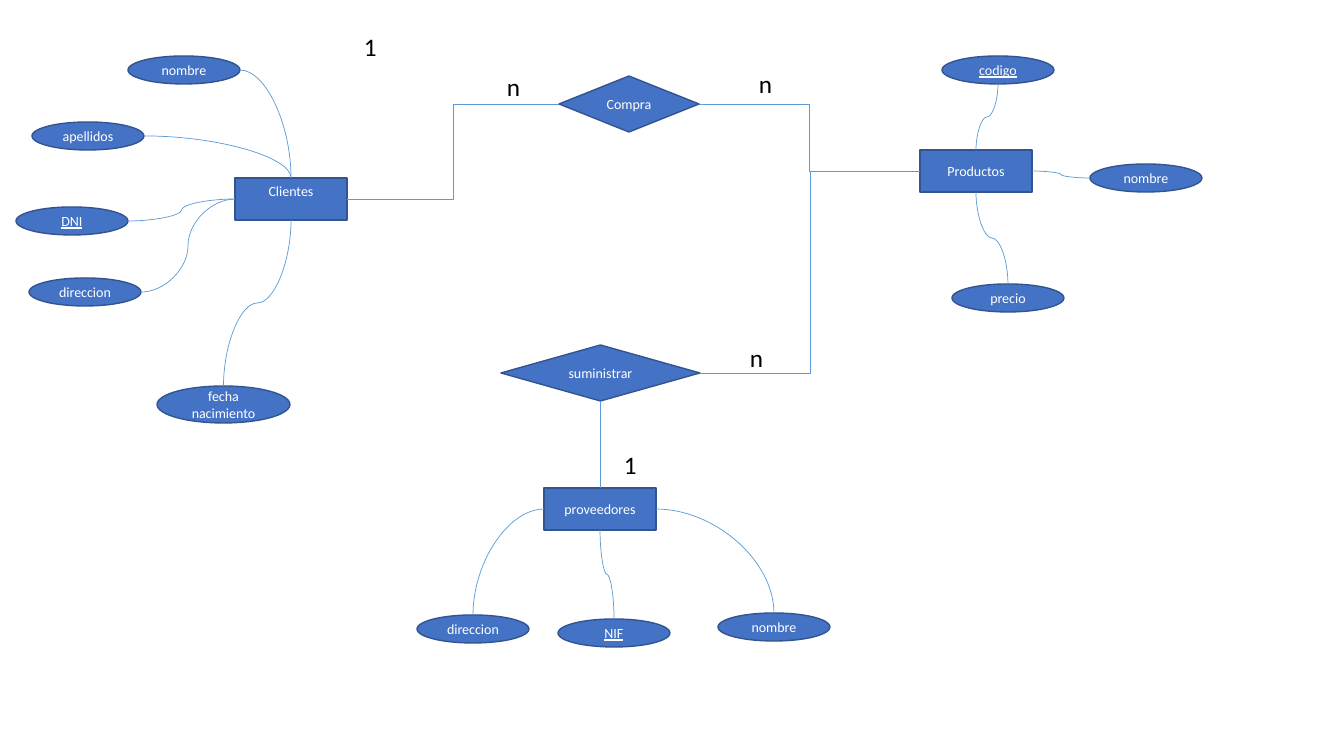
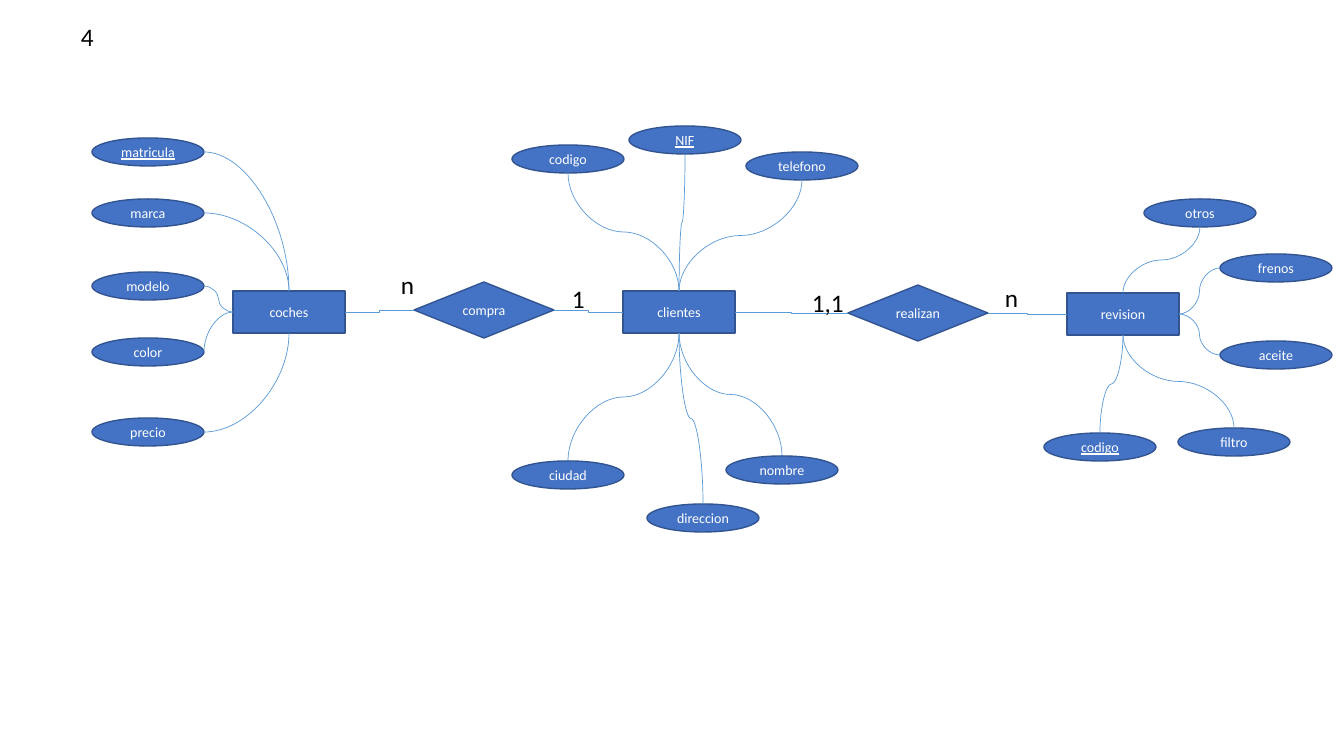
from lxml import etree
from pptx import Presentation
from pptx.dml.color import RGBColor
from pptx.enum.shapes import MSO_CONNECTOR, MSO_SHAPE
from pptx.enum.text import MSO_ANCHOR, PP_ALIGN
from pptx.oxml.ns import qn
from pptx.util import Pt

ENTITY = MSO_SHAPE.RECTANGLE
ATTRIBUTE = MSO_SHAPE.OVAL
RELATION = MSO_SHAPE.DIAMOND
CURVE = MSO_CONNECTOR.CURVE
TOP, LEFT, BOTTOM, RIGHT = range(4)
ANGLES = {TOP: 270, LEFT: 180, BOTTOM: 90, RIGHT: 0}
CURVE2, CURVE3, BENT3 = "curvedConnector2", "curvedConnector3", "bentConnector3"

COLOURS = {
    "fill": "4472C4",
    "outline": "325491",
    "link": "5B9BD5",
    "node_text": "FFFFFF",
    "label_text": "000000",
}
NODE_FONT = {"name": "Calibri", "size": Pt(10)}
LABEL_FONT = {"name": "Calibri", "size": Pt(18)}
SIZES = {ENTITY: (112, 42), ATTRIBUTE: (112, 28), RELATION: (140, 56)}
SPECIAL_SIZES = {"fecha nacimiento": (133, 37), "suministrar": (199, 56)}
KEYS = {"DNI", "NIF", "codigo producto", "matricula", "codigo revision"}
TOP_ANCHORED = {"Clientes"}
LABEL_HEIGHT = 40

DIAGRAMS = [
    {
        "nodes": [
            ("Clientes", "Clientes", ENTITY, 235, 178),
            ("Productos", "Productos", ENTITY, 920, 150),
            ("proveedores", "proveedores", ENTITY, 544, 488),
            ("nombre cliente", "nombre", ATTRIBUTE, 128, 56),
            ("apellidos", "apellidos", ATTRIBUTE, 32, 122),
            ("DNI", "DNI", ATTRIBUTE, 16, 207),
            ("direccion cliente", "direccion", ATTRIBUTE, 29, 278),
            ("fecha nacimiento", "fecha nacimiento", ATTRIBUTE, 157, 386),
            ("codigo producto", "codigo", ATTRIBUTE, 942, 56),
            ("precio", "precio", ATTRIBUTE, 952, 284),
            ("nombre producto", "nombre", ATTRIBUTE, 1090, 164),
            ("NIF", "NIF", ATTRIBUTE, 558, 619),
            ("nombre proveedor", "nombre", ATTRIBUTE, 718, 613),
            ("direccion proveedor", "direccion", ATTRIBUTE, 417, 615),
            ("Compra", "Compra", RELATION, 559, 76),
            ("suministrar", "suministrar", RELATION, 501, 345),
        ],
        "links": [
            ("nombre cliente", RIGHT, "Clientes", TOP, CURVE2),
            ("Clientes", TOP, "apellidos", RIGHT, CURVE2),
            ("Clientes", LEFT, "DNI", RIGHT, CURVE3),
            ("Clientes", LEFT, "direccion cliente", RIGHT, CURVE3),
            ("Clientes", BOTTOM, "fecha nacimiento", TOP, CURVE3),
            ("proveedores", BOTTOM, "NIF", TOP, CURVE3),
            ("proveedores", LEFT, "direccion proveedor", TOP, CURVE2),
            ("proveedores", RIGHT, "nombre proveedor", TOP, CURVE2),
            ("codigo producto", BOTTOM, "Productos", TOP, CURVE3),
            ("nombre producto", LEFT, "Productos", RIGHT, CURVE3),
            ("Productos", BOTTOM, "precio", TOP, CURVE3),
            ("Productos", LEFT, "suministrar", RIGHT, BENT3),
            ("Productos", LEFT, "Compra", RIGHT, BENT3),
            ("Compra", LEFT, "Clientes", RIGHT, BENT3),
            ("suministrar", BOTTOM, "proveedores", TOP, BENT3),
        ],
        "labels": [
            ("n", 497, 66, 21),
            ("n", 749, 63, 26),
            ("1", 614, 444, 54),
            ("n", 740, 337, 32),
            ("1", 354, 26, 83),
        ],
    },
    {
        "nodes": [
            ("coches", "coches", ENTITY, 233, 291),
            ("clientes", "clientes", ENTITY, 623, 291),
            ("revision", "revision", ENTITY, 1067, 293),
            ("matricula", "matricula", ATTRIBUTE, 92, 138),
            ("marca", "marca", ATTRIBUTE, 92, 199),
            ("modelo", "modelo", ATTRIBUTE, 92, 272),
            ("color", "color", ATTRIBUTE, 92, 338),
            ("precio", "precio", ATTRIBUTE, 92, 418),
            ("compra", "compra", RELATION, 414, 282),
            ("realizan", "realizan", RELATION, 848, 285),
            ("filtro", "filtro", ATTRIBUTE, 1178, 428),
            ("aceite", "aceite", ATTRIBUTE, 1220, 341),
            ("frenos", "frenos", ATTRIBUTE, 1220, 254),
            ("otros", "otros", ATTRIBUTE, 1144, 199),
            ("NIF", "NIF", ATTRIBUTE, 629, 126),
            ("nombre", "nombre", ATTRIBUTE, 726, 456),
            ("direccion", "direccion", ATTRIBUTE, 647, 504),
            ("ciudad", "ciudad", ATTRIBUTE, 512, 461),
            ("telefono", "telefono", ATTRIBUTE, 746, 152),
            ("codigo cliente", "codigo", ATTRIBUTE, 512, 145),
            ("codigo revision", "codigo", ATTRIBUTE, 1044, 433),
        ],
        "links": [
            ("clientes", LEFT, "compra", RIGHT, BENT3),
            ("compra", LEFT, "coches", RIGHT, BENT3),
            ("clientes", RIGHT, "realizan", LEFT, BENT3),
            ("realizan", RIGHT, "revision", LEFT, BENT3),
            ("clientes", TOP, "codigo cliente", BOTTOM, CURVE3),
            ("clientes", TOP, "NIF", BOTTOM, CURVE3),
            ("clientes", TOP, "telefono", BOTTOM, CURVE3),
            ("clientes", BOTTOM, "ciudad", TOP, CURVE3),
            ("clientes", BOTTOM, "direccion", TOP, CURVE3),
            ("clientes", BOTTOM, "nombre", TOP, CURVE3),
            ("revision", TOP, "otros", BOTTOM, CURVE3),
            ("revision", RIGHT, "frenos", LEFT, CURVE3),
            ("revision", RIGHT, "aceite", LEFT, CURVE3),
            ("revision", BOTTOM, "filtro", TOP, CURVE3),
            ("codigo revision", TOP, "revision", BOTTOM, CURVE3),
            ("coches", TOP, "matricula", RIGHT, CURVE2),
            ("coches", TOP, "marca", RIGHT, CURVE2),
            ("coches", LEFT, "modelo", RIGHT, CURVE3),
            ("coches", LEFT, "color", RIGHT, CURVE2),
            ("coches", BOTTOM, "precio", RIGHT, CURVE2),
        ],
        "labels": [
            ("4", 71, 16, 41),
            ("n", 391, 264, 22),
            ("1", 562, 278, 28),
            ("1,1", 802, 282, 59),
            ("n", 995, 277, 31),
        ],
    },
]


def px(*lengths):
    return [round(length * 914400 / 100.8) for length in lengths]


def write_text(shape, text, font_format, colour, alignment, anchor):
    frame = shape.text_frame
    frame.word_wrap = True
    frame.vertical_anchor = anchor
    paragraph = frame.paragraphs[0]
    paragraph.alignment = alignment
    run = paragraph.add_run()
    run.text = text
    for attribute, value in font_format.items():
        setattr(run.font, attribute, value)
    run.font.color.rgb = RGBColor.from_string(COLOURS[colour])


presentation = Presentation()
presentation.slide_width, presentation.slide_height = px(1344, 756)

for diagram in DIAGRAMS:
    slide = presentation.slides.add_slide(presentation.slide_layouts[6])
    shapes = {}
    for name, text, kind, left, top in diagram["nodes"]:
        width, height = SPECIAL_SIZES.get(name, SIZES[kind])
        shape = slide.shapes.add_shape(kind, *px(left, top, width, height))
        shape.shadow.inherit = False
        shape.fill.solid()
        shape.fill.fore_color.rgb = RGBColor.from_string(COLOURS["fill"])
        shape.line.color.rgb = RGBColor.from_string(COLOURS["outline"])
        shape.line.width = Pt(1)
        font_format = {**NODE_FONT, "underline": name in KEYS}
        anchor = MSO_ANCHOR.TOP if name in TOP_ANCHORED else MSO_ANCHOR.MIDDLE
        write_text(shape, text, font_format, "node_text", PP_ALIGN.CENTER, anchor)
        shapes[name] = shape

    for start, start_side, end, end_side, preset in diagram["links"]:
        connector = slide.shapes.add_connector(CURVE, 0, 0, 0, 0)
        connector.begin_connect(shapes[start], start_side)
        connector.end_connect(shapes[end], end_side)
        connector.line.color.rgb = RGBColor.from_string(COLOURS["link"])
        connector.line.width = Pt(0.5)
        element = connector._element
        for tag, name, side in (("a:stCxn", start, start_side), ("a:endCxn", end, end_side)):
            if shapes[name].auto_shape_type == ATTRIBUTE:
                element.xpath(".//" + tag)[0].set("idx", str(side * 2))

        across = connector.end_x - connector.begin_x
        down = connector.end_y - connector.begin_y
        centre_x = (connector.begin_x + connector.end_x) // 2
        centre_y = (connector.begin_y + connector.end_y) // 2
        angle = ANGLES[start_side]
        forward, sideways = {
            TOP: (-down, across),
            LEFT: (-across, -down),
            BOTTOM: (down, -across),
            RIGHT: (across, down),
        }[start_side]
        flip_h, flip_v = forward < 0, sideways < 0
        if start_side in (TOP, BOTTOM) and (angle == 270) == (sideways >= 0):
            angle, flip_h, flip_v = 360 - angle, not flip_h, not flip_v
        connector.width, connector.height = abs(forward), abs(sideways)
        connector.left = centre_x - connector.width // 2
        connector.top = centre_y - connector.height // 2
        transform = element.spPr.find(qn("a:xfrm"))
        transform.set("rot", str(angle * 60000))
        transform.set("flipH", str(int(flip_h)))
        transform.set("flipV", str(int(flip_v)))
        element.spPr.find(qn("a:prstGeom")).set("prst", preset)
        etree.SubElement(element.spPr, qn("a:effectLst"))

    for text, left, top, width in diagram["labels"]:
        label = slide.shapes.add_textbox(*px(left, top, width, LABEL_HEIGHT))
        write_text(label, text, LABEL_FONT, "label_text", PP_ALIGN.LEFT, MSO_ANCHOR.TOP)

presentation.save("out.pptx")
